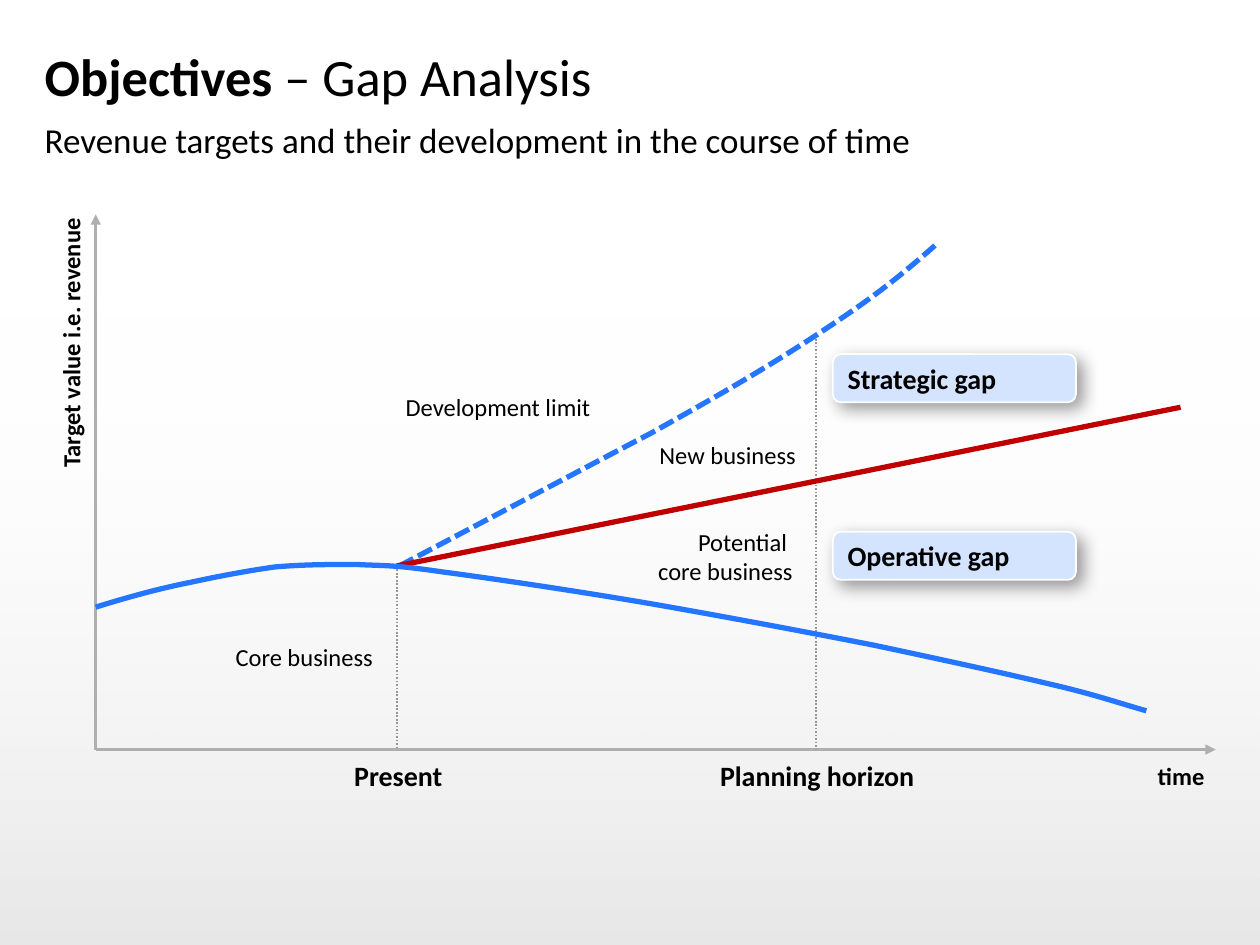
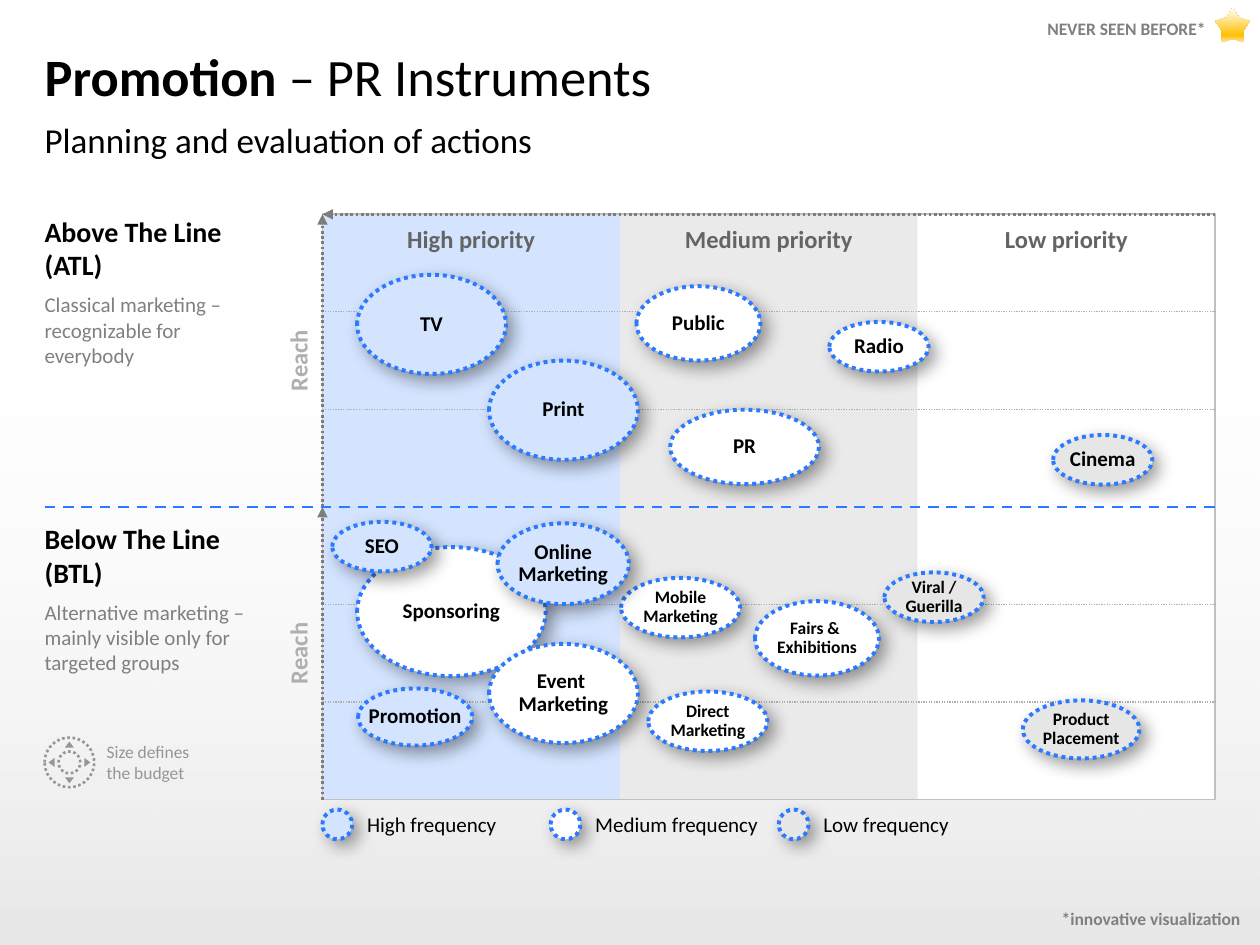
import math

import pptx
import pptx.dml.color
import pptx.enum.dml
import pptx.enum.shapes
import pptx.enum.text
import pptx.oxml.ns
import pptx.util
from lxml import etree

Cm = pptx.util.Cm
Pt = pptx.util.Pt
qn = pptx.oxml.ns.qn
SHAPE = pptx.enum.shapes.MSO_SHAPE
DASH = pptx.enum.dml.MSO_LINE
ALIGN = pptx.enum.text.PP_ALIGN
ANCHOR = pptx.enum.text.MSO_ANCHOR

FONT = "Calibri"
BLACK = "000000"
WHITE = "FFFFFF"
GRAY = "808080"
MID_GRAY = "969696"
AXIS_GRAY = "AFAFAF"
LIGHT_BLUE = "D4E4FF"
LIGHT_GRAY = "E6E6E6"
CURVE_BLUE = "2475FF"
BORDER_BLUE = "2A79FF"
TARGET_RED = "C00000"

MARGIN = 0.9
CONTENT_WIDTH = 23.6
DEFAULT_INSETS = (0.25, 0.13, 0.25, 0.13)
WIDE_INSETS = (0.3, 0.2, 0.3, 0.2)
NO_INSETS = (0, 0, 0, 0)


def color(hex_string):
    return pptx.dml.color.RGBColor.from_string(hex_string)


def format_frame(frame, insets=DEFAULT_INSETS, anchor=ANCHOR.MIDDLE, wrap=True):
    frame.word_wrap = wrap
    frame.vertical_anchor = anchor
    frame.margin_left, frame.margin_top, frame.margin_right, frame.margin_bottom = map(Cm, insets)


def format_paragraph(paragraph, size, hex_string=BLACK, bold=False, align=ALIGN.LEFT):
    paragraph.alignment = align
    font = paragraph.font
    font.name, font.size, font.bold = FONT, Pt(size), bold
    font.color.rgb = color(hex_string)


def write(shape, text, size, hex_string=BLACK, bold=False, align=ALIGN.LEFT, **frame_format):
    format_frame(shape.text_frame, **frame_format)
    paragraph = shape.text_frame.paragraphs[0]
    paragraph.text = text
    format_paragraph(paragraph, size, hex_string, bold, align)
    return paragraph


def add_text(slide, box, text, size, rotation=0, **text_format):
    shape = slide.shapes.add_textbox(*map(Cm, box))
    shape.rotation = rotation
    return write(shape, text, size, **text_format)


def format_line(line, hex_string, width, dash=None):
    line.color.rgb = color(hex_string)
    line.width = Pt(width)
    if dash:
        line.dash_style = dash


def add_shape(slide, kind, box, fill=None, line=None, shadow=False):
    shape = slide.shapes.add_shape(kind, *map(Cm, box))
    shape.shadow.inherit = False
    if fill:
        shape.fill.solid()
        shape.fill.fore_color.rgb = color(fill)
    else:
        shape.fill.background()
    if line:
        format_line(shape.line, *line)
    else:
        shape.line.fill.background()
    if shadow:
        effects = shape.element.spPr.find(qn("a:effectLst"))
        outer = etree.SubElement(effects, qn("a:outerShdw"), blurRad=str(Pt(10)), dist=str(Pt(5)),
                                 dir="2700000", algn="tl", rotWithShape="0")
        shade = etree.SubElement(outer, qn("a:srgbClr"), val=BLACK)
        etree.SubElement(shade, qn("a:alpha"), val="40000")
    return shape


def fill_gradient(shape, stops):
    shape.fill.gradient()
    shape.fill.gradient_angle = 90
    stop_list = shape.element.spPr.find(qn("a:gradFill")).find(qn("a:gsLst"))
    for stop in list(stop_list):
        stop_list.remove(stop)
    for position, hex_string, opacity in stops:
        stop = etree.SubElement(stop_list, qn("a:gs"), pos=str(position * 1000))
        tint = etree.SubElement(stop, qn("a:srgbClr"), val=hex_string)
        if opacity < 100:
            etree.SubElement(tint, qn("a:alpha"), val=str(opacity * 1000))


def add_line(slide, start, end, hex_string, width, dash=None, arrow=False):
    connector = slide.shapes.add_connector(
        pptx.enum.shapes.MSO_CONNECTOR.STRAIGHT, *map(Cm, start + end))
    format_line(connector.line, hex_string, width, dash)
    properties = connector.element.spPr
    if arrow:
        etree.SubElement(properties.find(qn("a:ln")), qn("a:tailEnd"), type="triangle")
    etree.SubElement(properties, qn("a:effectLst"))


def bend_segments(shape):
    segments = list(shape.element.iter(qn("a:lnTo")))
    for index in range(0, len(segments), 3):
        curve = etree.Element(qn("a:cubicBezTo"))
        segments[index].addprevious(curve)
        for segment in segments[index:index + 3]:
            curve.append(segment[0])
            segment.getparent().remove(segment)


def add_curve(slide, left, top, points, hex_string, dash=None):
    first, *rest = [(Cm(left + x), Cm(top + y)) for x, y in points]
    builder = slide.shapes.build_freeform(*first)
    builder.add_line_segments(rest, close=False)
    shape = builder.convert_to_shape()
    if len(rest) > 1:
        bend_segments(shape)
    shape.shadow.inherit = False
    shape.fill.background()
    format_line(shape.line, hex_string, 3, dash)


def add_floor_shade(slide):
    shade = add_shape(slide, SHAPE.RECTANGLE, (0, 5.61, 25.4, 13.44), WHITE)
    fill_gradient(shade, [(0, BLACK, 10), (100, WHITE, 0)])
    slide.slide_layout.shapes.element.insert(2, shade.element)


def add_heading(slide, topic, detail, subtitle):
    title = slide.shapes.title
    title.left, title.top, title.width, title.height = map(Cm, (MARGIN, 0.68, CONTENT_WIDTH, 1.7))
    format_frame(title.text_frame, NO_INSETS)
    paragraph = title.text_frame.paragraphs[0]
    for text, bold in ((topic + " ", True), ("– " + detail, False)):
        run = paragraph.add_run()
        run.text = text
        run.font.bold = bold
    format_paragraph(paragraph, 30)
    add_text(slide, (MARGIN, 2.38, CONTENT_WIDTH, 0.94), subtitle, 20,
             insets=NO_INSETS, anchor=ANCHOR.TOP)


def add_gap_chart(slide, left, top, width, height):
    origin = (left, top + height)
    present, horizon = (6.07, 7.09), (14.52, 2.44)
    for end in ((left, top), (left + width, top + height)):
        add_line(slide, origin, end, AXIS_GRAY, 1.5, arrow=True)
    add_text(slide, (left - 3.3, top + 2.13, 5.59, 0.99), "Target value i.e. revenue", 14,
             rotation=270, bold=True, align=ALIGN.RIGHT)

    for x, label_width, text, size, align in (
            (19.3, 3.3, "time", 14, ALIGN.RIGHT),
            (4.45, 3.3, "Present", 16, ALIGN.CENTER),
            (12.12, 4.85, "Planning horizon", 16, ALIGN.CENTER)):
        add_text(slide, (left + x, top + height + 0.04, label_width, 0.97), text, size,
                 bold=True, align=align)
    for x, y in (present, horizon):
        add_line(slide, (left + x, top + y), (left + x, top + height), MID_GRAY, 1, DASH.ROUND_DOT)

    development_limit = [
        (6.12, 7.09), (7.81, 6.2), (9.49, 5.31), (11.18, 4.42), (12.6, 3.63), (13.56, 3.07),
        horizon, (15.49, 1.8), (16.05, 1.4), (16.94, 0.61)]
    core_business = [
        (0, 7.92), (0.64, 7.72), (1.3, 7.54), (1.91, 7.42), (2.51, 7.29), (3.05, 7.19),
        (3.61, 7.11), (4.19, 7.06), (4.7, 7.06), (5.26, 7.06), (5.82, 7.09), (5.97, 7.06),
        (6.99, 7.21), (7.98, 7.34), (9.86, 7.62), (11.3, 7.87), (12.78, 8.13), (14.38, 8.43),
        (15.7, 8.69), (17.02, 8.97), (18.31, 9.25), (19.23, 9.47), (20.14, 9.68),
        (20.65, 9.86), (21.18, 10.01)]
    add_curve(slide, left, top, development_limit, CURVE_BLUE, DASH.SQUARE_DOT)
    add_curve(slide, left, top, [present, (21.87, 3.89)], TARGET_RED)
    add_curve(slide, left, top, core_business, CURVE_BLUE)

    for x, y, label_width, text, align in (
            (5.38, 3.4, 5.46, "Development limit", ALIGN.CENTER),
            (10.62, 4.37, 4.24, "New business", ALIGN.CENTER),
            (10.06, 6.41, 4.24, "Potential \ncore business", ALIGN.RIGHT),
            (1.6, 8.43, 4.24, "Core business", ALIGN.RIGHT)):
        add_text(slide, (left + x, top + y, label_width, 0.97), text, 14, align=align)
    for y, text in ((2.82, "Strategic gap"), (6.4, "Operative gap")):
        gap = add_shape(slide, SHAPE.ROUNDED_RECTANGLE, (left + 14.86, top + y, 4.9, 0.97),
                        LIGHT_BLUE, (WHITE, 1), shadow=True)
        write(gap, text, 16, bold=True)


def add_priority_grid(slide, left, top, width, height):
    column, row = width / 3, height / 2
    right, middle = left + width, top + row
    columns = (("High priority", LIGHT_BLUE), ("Medium priority", "EAEAEA"), ("Low priority", WHITE))
    for index, (text, fill) in enumerate(columns):
        for y in (top, middle):
            cell = add_shape(slide, SHAPE.RECTANGLE, (left + index * column, y, column, row), fill)
            if y == top:
                write(cell, text, 14, "646464", True, ALIGN.CENTER,
                      insets=WIDE_INSETS, anchor=ANCHOR.TOP)
    add_shape(slide, SHAPE.RECTANGLE, (left, top, width, height), line=("C0C0C0", 1))
    for third in (1, 2, 4, 5):
        y = top + third * row / 3
        add_line(slide, (left, y), (right, y), AXIS_GRAY, 0.75, DASH.ROUND_DOT)
    for y in (top, middle):
        add_line(slide, (left, y + row), (left, y), "7D7D7D", 1.5, DASH.ROUND_DOT, True)
        add_text(slide, (left - 3.45, y + 2.45, row, 1), "Reach", 14, rotation=270,
                 hex_string=AXIS_GRAY, bold=True, align=ALIGN.CENTER,
                 insets=WIDE_INSETS, anchor=ANCHOR.BOTTOM)
    add_line(slide, (MARGIN, middle), (right, middle), BORDER_BLUE, 1.5, DASH.DASH)
    add_line(slide, (right, top), (left, top), "7D7D7D", 1.5, DASH.ROUND_DOT, True)


def add_bubble(slide, box, fill):
    return add_shape(slide, SHAPE.OVAL, box, fill, (BORDER_BLUE, 2.25, DASH.ROUND_DOT), True)


def add_instruments(slide, left, top):
    high, medium, low = LIGHT_BLUE, WHITE, LIGHT_GRAY
    for text, x, y, width, height, fill, size in (
            ("TV", 0.7, 1.22, 3, 2, high, 12),
            ("Print", 3.36, 2.95, 3, 2, high, 12),
            ("Public", 6.33, 1.45, 2.5, 1.5, medium, 12),
            ("PR", 7.01, 3.94, 3, 1.5, medium, 12),
            ("Radio", 10.22, 2.17, 2, 1, medium, 12),
            ("Cinema", 14.73, 4.45, 2, 1, low, 12),
            ("Sponsoring", 0.7, 6.71, 3.8, 2.6, medium, 12),
            ("Event \nMarketing", 3.36, 8.66, 3, 2, medium, 12),
            ("Fairs & \nExhibitions", 8.72, 7.8, 2.5, 1.5, medium, 10),
            ("Product\nPlacement", 14.12, 9.8, 2.35, 1.17, low, 10),
            ("Promotion", 0.72, 9.56, 2.3, 1.15, high, 12),
            ("Direct\nMarketing", 6.57, 9.62, 2.4, 1.2, medium, 10),
            ("Mobile\nMarketing", 6.02, 7.33, 2.4, 1.2, medium, 10),
            ("SEO", 0.2, 6.2, 2, 1, high, 12),
            ("Online\nMarketing", 3.53, 6.23, 2.65, 1.63, high, 12),
            ("Viral /\nGuerilla", 11.33, 7.22, 2, 1, low, 10)):
        bubble = add_bubble(slide, (left + x, top + y, width, height), fill)
        paragraph = write(bubble, text, size, bold=True, align=ALIGN.CENTER,
                          insets=NO_INSETS, wrap=False)
        paragraph.line_spacing = 0.9
        paragraph.space_after = Pt(4)


def add_line_description(slide, box, heading, description, top_inset):
    shape = slide.shapes.add_textbox(*map(Cm, box))
    write(shape, heading, 16, bold=True, insets=(0, top_inset, 0, 0), anchor=ANCHOR.TOP)
    paragraph = shape.text_frame.add_paragraph()
    paragraph.text = description
    format_paragraph(paragraph, 12, GRAY)
    for each in shape.text_frame.paragraphs:
        each.space_after = Pt(6)


def add_budget_key(slide, left, top, size):
    center_x, center_y = left + size / 2, top + size / 2
    for diameter in (size, 0.44 * size):
        add_shape(slide, SHAPE.OVAL,
                  (center_x - diameter / 2, center_y - diameter / 2, diameter, diameter),
                  line=(MID_GRAY, 1.5, DASH.ROUND_DOT))
    for angle in (0, 90, 180, 270):
        x = center_x + 0.36 * size * math.sin(math.radians(angle))
        y = center_y - 0.36 * size * math.cos(math.radians(angle))
        pointer = add_shape(slide, SHAPE.ISOSCELES_TRIANGLE,
                            (x - 0.09, y - 0.06, 0.18, 0.12), MID_GRAY)
        pointer.rotation = angle
    add_text(slide, (left + size, top - 0.07, 3.66, 1.12), "Size defines \nthe budget", 10,
             hex_string=MID_GRAY)


def add_frequency_legend(slide, left, top):
    levels = (("High", LIGHT_BLUE), ("Medium", WHITE), ("Low", LIGHT_GRAY))
    for index, (level, fill) in enumerate(levels):
        x = left + index * 4.6
        add_bubble(slide, (x, top + 0.2, 0.6, 0.6), fill)
        add_text(slide, (x + 0.6, top, 4, 1), f"{level} frequency", 12, insets=WIDE_INSETS)


def add_innovation_note(slide):
    star = add_shape(slide, SHAPE.STAR_5_POINT, (24.5, 0.16, 0.7, 0.7), WHITE)
    star.adjustments[0] = 0.306
    fill_gradient(star, [(0, "FBE4AE", 100), (21, "FFC000", 100), (100, WHITE, 100)])
    for x, y, text in ((19.6, 0.27, "NEVER SEEN BEFORE*"), (20.3, 18.22, "*innovative visualization")):
        paragraph = add_text(slide, (x, y, 4.9, 0.7), text, 10, hex_string=GRAY, bold=True,
                             align=ALIGN.RIGHT, insets=(0, 0.1, 0.2, 0.1))
        paragraph.line_spacing = 0.7


def build_gap_slide(slide):
    add_heading(slide, "Objectives", "Gap Analysis",
                "Revenue targets and their development in the course of time")
    add_gap_chart(slide, 1.93, 4.32, 22.58, 10.79)


def build_promotion_slide(slide):
    left, top, width, height = 6.5, 4.32, 18, 11.8
    add_heading(slide, "Promotion", "PR Instruments", "Planning and evaluation of actions")
    add_priority_grid(slide, left, top, width, height)
    descriptions = (
        ("Above The Line (ATL)", "Classical marketing – \nrecognizable for everybody", 0),
        ("Below The Line (BTL)", "Alternative marketing – \nmainly visible only for\ntargeted groups", 0.3))
    for index, description in enumerate(descriptions):
        add_line_description(slide, (MARGIN, top + index * height / 2, 4.6, height / 2), *description)
    add_instruments(slide, left, top)
    add_budget_key(slide, MARGIN, 14.87, 1)
    add_frequency_legend(slide, left, top + height)
    add_innovation_note(slide)


def main():
    presentation = pptx.Presentation()
    presentation.slide_width, presentation.slide_height = Cm(25.4), Cm(19.05)
    layout = presentation.slide_layouts[5]
    slides = [presentation.slides.add_slide(layout) for _ in range(2)]
    add_floor_shade(slides[0])
    build_gap_slide(slides[0])
    build_promotion_slide(slides[1])
    presentation.save("out.pptx")


if __name__ == "__main__":
    main()
